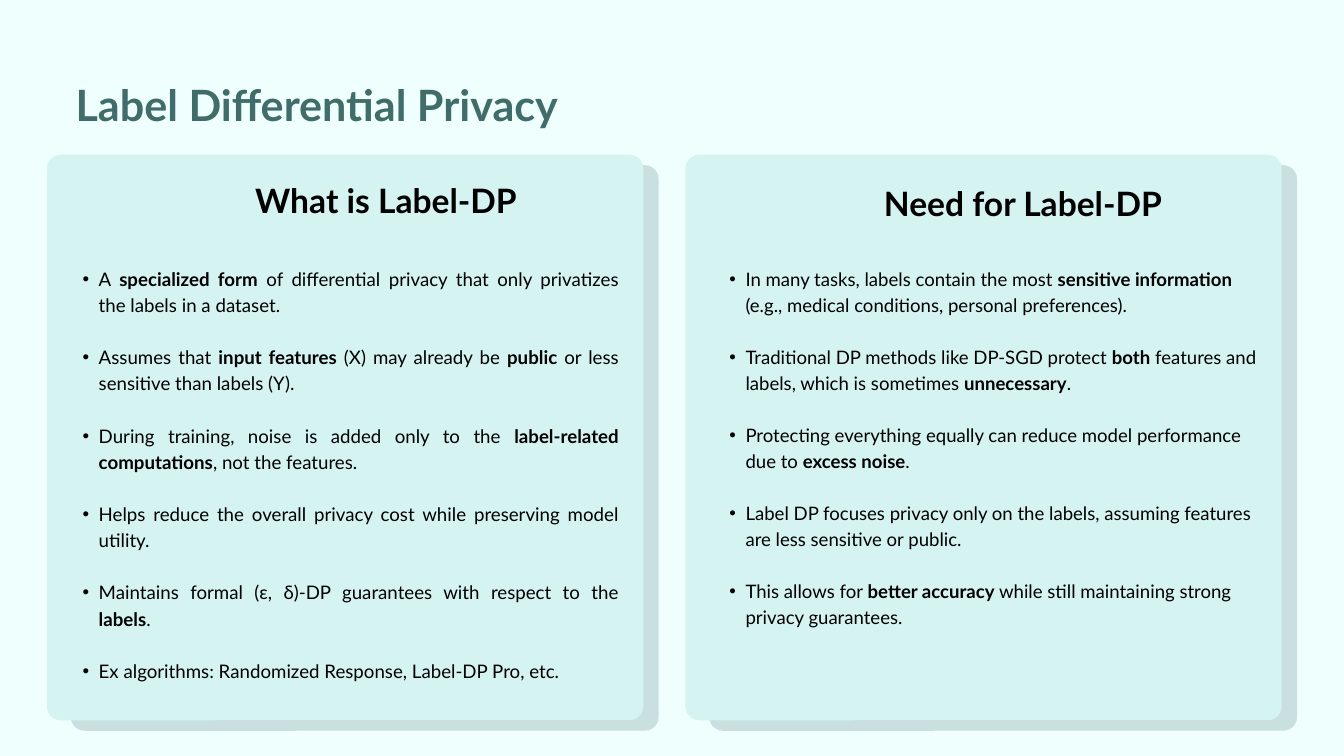
from lxml import etree
from pptx import Presentation
from pptx import util as u
from pptx.dml.color import RGBColor
from pptx.enum import shapes, text
from pptx.oxml.ns import qn

PX = 9525  # EMU; the slide is 1920 x 1080 px

BACKGROUND = RGBColor(0xEF, 0xFF, 0xFE)
CARD = RGBColor(0xD4, 0xF3, 0xF1)
CARD_SHADE = RGBColor(0xCA, 0xDF, 0xDF)
TEAL = RGBColor(0x40, 0x6D, 0x6A)
BLACK = RGBColor(0, 0, 0)

FONT = "Lato"
CARD_SIZE = (852, 808)
SHADE_SIZE = (840, 808)
CORNER = 20

# Text between ** marks is bold.
WHAT_POINTS = [
    "A **specialized form** of differential privacy that only privatizes the labels in a dataset.",
    "Assumes that **input features** (X) may already be **public** or less sensitive than labels (Y).",
    "During training, noise is added only to the **label-related computations**, not the features.",
    "Helps reduce the overall privacy cost while preserving model utility.",
    "Maintains formal (ε, δ)-DP guarantees with respect to the **labels**.",
    "Ex algorithms: Randomized Response, Label-DP Pro, etc.",
]
NEED_POINTS = [
    "In many tasks, labels contain the most **sensitive information** "
    "(e.g., medical conditions, personal preferences).",
    "Traditional DP methods like DP-SGD protect **both** features and labels, "
    "which is sometimes **unnecessary**.",
    "Protecting everything equally can reduce model performance due to **excess noise**.",
    "Label DP focuses privacy only on the labels, assuming features are less sensitive or public.",
    "This allows for **better accuracy** while still maintaining strong privacy guarantees.",
]


def px(*lengths):
    return [u.Emu(length * PX) for length in lengths]


def prepare_frame(frame):
    """Wrap the text from the very top left of its box."""
    frame.margin_left = frame.margin_top = frame.margin_right = frame.margin_bottom = 0
    frame.word_wrap = True
    frame.auto_size = text.MSO_AUTO_SIZE.NONE
    frame.vertical_anchor = text.MSO_ANCHOR.TOP


def format_paragraph(paragraph, size, leading, align, color=BLACK, bold=None):
    paragraph.alignment = align
    paragraph.line_spacing = u.Pt(leading)
    font = paragraph.font
    font.name, font.size, font.bold = FONT, u.Pt(size), bold
    font.color.rgb = color


def add_frame(slide, left, top, width, height):
    frame = slide.shapes.add_textbox(*px(left, top, width, height)).text_frame
    prepare_frame(frame)
    return frame


def add_title(slide, box, wording):
    title = slide.shapes.title
    title.left, title.top, title.width, title.height = px(*box)
    prepare_frame(title.text_frame)
    title.text_frame.text = wording
    format_paragraph(title.text_frame.paragraphs[0], 46.2, 64.8,
                     text.PP_ALIGN.LEFT, TEAL, True)


def add_panel(slide, left, top, size, color):
    panel = slide.shapes.add_shape(shapes.MSO_SHAPE.ROUNDED_RECTANGLE,
                                   *px(left, top, *size))
    panel.adjustments[0] = CORNER / min(size)
    panel.fill.solid()
    panel.fill.fore_color.rgb = color
    panel.line.fill.background()
    panel.shadow.inherit = False


def add_bullets(frame, points, size, leading, align):
    for index, point in enumerate(points):
        paragraph = frame.add_paragraph() if index else frame.paragraphs[0]
        properties = paragraph._p.get_or_add_pPr()
        indent, hanging = px(45, -23)
        properties.set("marL", str(indent))
        properties.set("indent", str(hanging))
        etree.SubElement(properties, qn("a:buFont")).set("typeface", "Arial")
        etree.SubElement(properties, qn("a:buChar")).set("char", "•")
        format_paragraph(paragraph, size, leading, align)
        if index:
            paragraph.space_before = u.Pt(leading)
        for part, words in enumerate(point.split("**")):
            if words:
                run = paragraph.add_run()
                run.text = words
                if part % 2:
                    run.font.bold = True


def add_card(slide, left, top, heading, heading_box, points, points_box,
             size, leading, align):
    """Place a shaded card; the heading and points boxes are relative to it."""
    add_panel(slide, left + 34, top + 15, SHADE_SIZE, CARD_SHADE)
    add_panel(slide, left, top, CARD_SIZE, CARD)

    x, y, width, height = heading_box
    heading_frame = add_frame(slide, left + x, top + y, width, height)
    heading_frame.text = heading
    format_paragraph(heading_frame.paragraphs[0], 36, 50.4,
                     text.PP_ALIGN.CENTER, bold=True)

    x, y, width, height = points_box
    points_frame = add_frame(slide, left + x, top + y, width, height)
    add_bullets(points_frame, points, size, leading, align)


def main():
    deck = Presentation()
    deck.slide_width, deck.slide_height = px(1920, 1080)
    slide = deck.slides.add_slide(deck.slide_layouts[5])
    slide.background.fill.solid()
    slide.background.fill.fore_color.rgb = BACKGROUND

    add_title(slide, (108, 99, 788, 83), "Label Differential Privacy")
    add_card(slide, 67, 221, "What is Label-DP", (268, 27, 433, 64),
             WHAT_POINTS, (29, 156, 788, 628), 20, 28, text.PP_ALIGN.JUSTIFY)
    add_card(slide, 979, 221, "Need for Label-DP", (264, 31, 437, 64),
             NEED_POINTS, (41, 156, 792, 590), 19.9, 27.9, text.PP_ALIGN.LEFT)
    deck.save("out.pptx")


if __name__ == "__main__":
    main()
